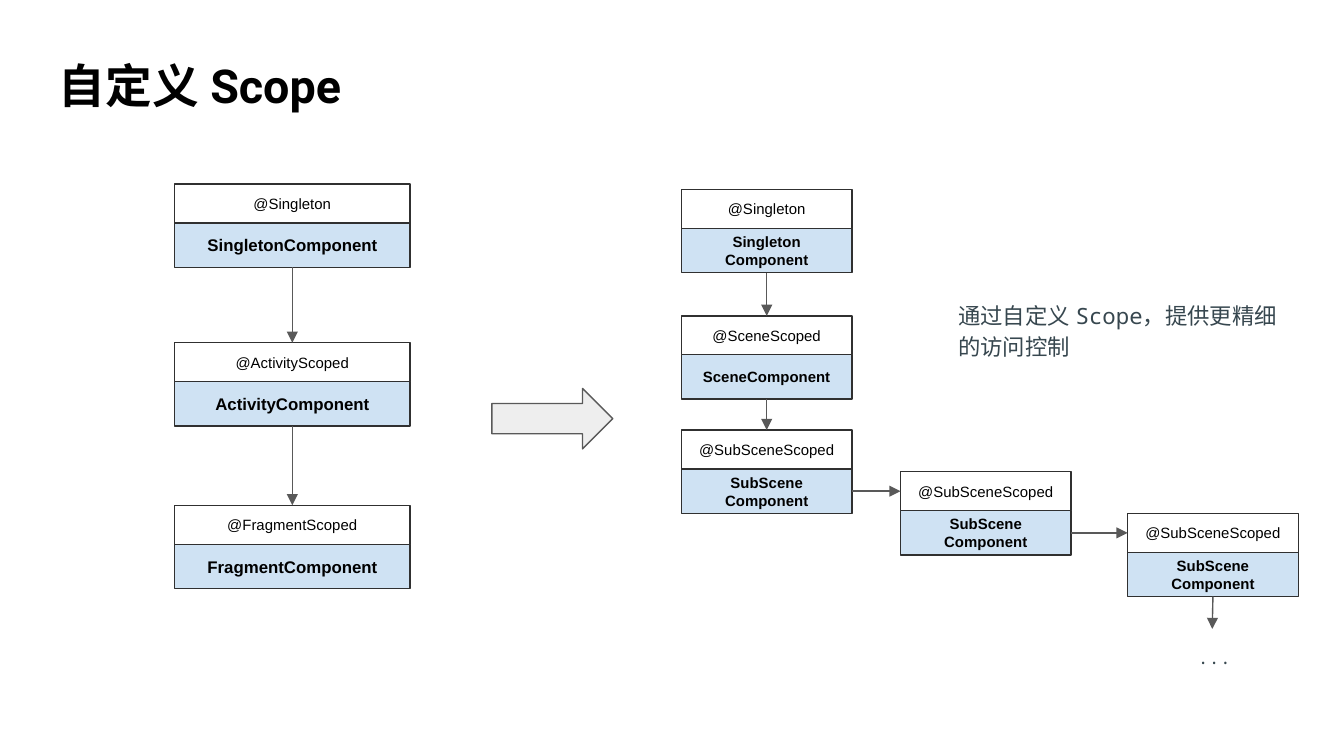
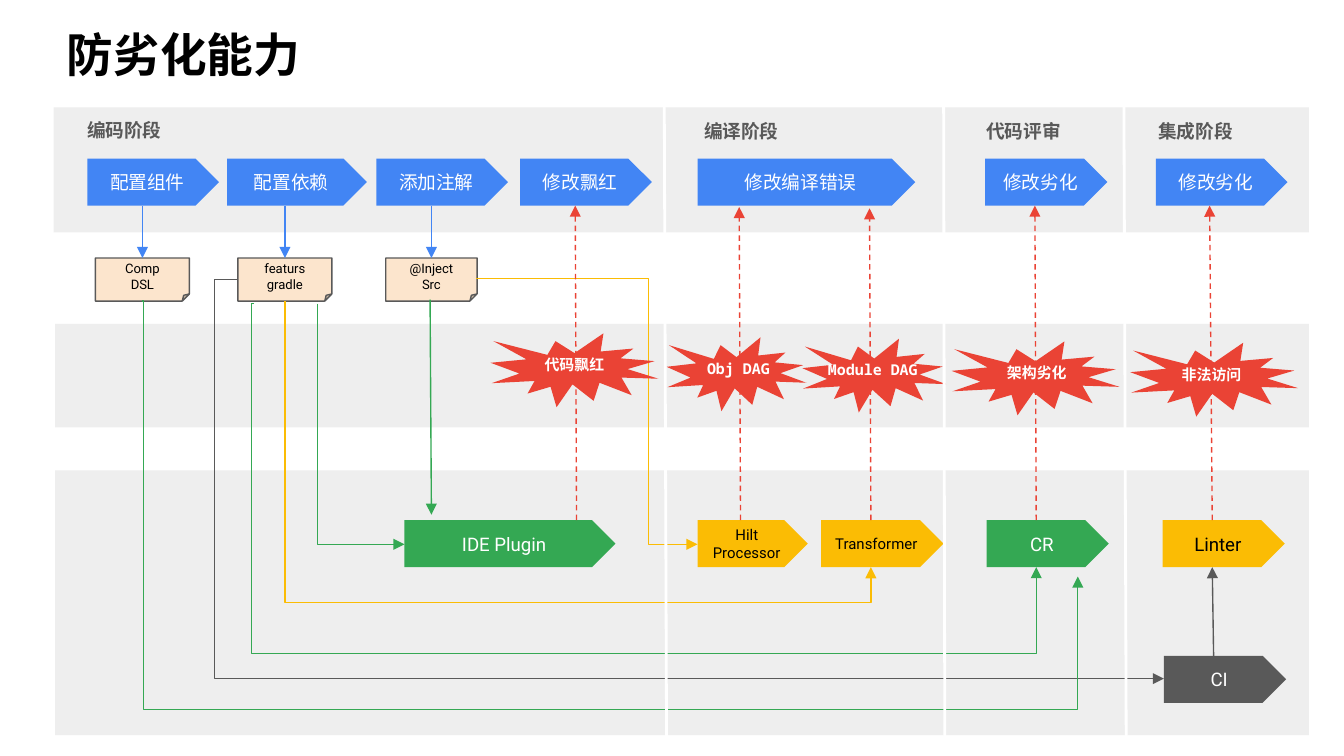
"""Build two slides: custom scopes and guards against code degradation."""
import pptx
import pptx.util
import pptx.dml.color
import pptx.enum.dml
import pptx.enum.shapes
import pptx.enum.text
import pptx.oxml.ns
from lxml import etree

RGBColor = pptx.dml.color.RGBColor
SHAPE = pptx.enum.shapes.MSO_SHAPE
CONNECTOR = pptx.enum.shapes.MSO_CONNECTOR
ANCHOR = pptx.enum.text.MSO_ANCHOR
ALIGN = pptx.enum.text.PP_ALIGN
qn = pptx.oxml.ns.qn

BLACK = RGBColor(0x00, 0x00, 0x00)
WHITE = RGBColor(0xFF, 0xFF, 0xFF)
INK = RGBColor(0x30, 0x30, 0x30)
SLATE = RGBColor(0x37, 0x47, 0x4F)
GRAY = RGBColor(0x59, 0x59, 0x59)
PANEL = RGBColor(0xEE, 0xEE, 0xEE)
SKY = RGBColor(0xCF, 0xE2, 0xF3)
PEACH = RGBColor(0xFC, 0xE5, 0xCD)
BLUE = RGBColor(0x42, 0x85, 0xF4)
GREEN = RGBColor(0x34, 0xA8, 0x53)
YELLOW = RGBColor(0xFB, 0xBC, 0x04)
RED = RGBColor(0xEA, 0x43, 0x35)

PX = 9144
SANS = "Roboto"
MONO = "Noto Sans Mono"
TITLE = dict(size=25, bold=True, align=ALIGN.LEFT, anchor=ANCHOR.BOTTOM)


def box(s, kind, rect, fill=None, line=None, text="", size=10, color=BLACK, font=SANS,
        bold=False, align=ALIGN.CENTER, anchor=ANCHOR.MIDDLE, spacing=None):
    rect = [v * PX for v in rect]
    if kind is None:
        sp = s.shapes.add_textbox(*rect)
    else:
        sp = s.shapes.add_shape(kind, *rect)
        sp.shadow.inherit = False
        sp.fill.solid()
        sp.fill.fore_color.rgb = fill
        if line is None:
            sp.line.fill.background()
        else:
            sp.line.color.rgb = line
            sp.line.width = pptx.util.Pt(0.75)
    if not text:
        return sp
    tf = sp.text_frame
    tf.word_wrap = True
    tf.vertical_anchor = anchor
    tf.margin_left = tf.margin_right = tf.margin_top = tf.margin_bottom = 10 * PX
    for i, words in enumerate(text.split("\n")):
        p = tf.add_paragraph() if i else tf.paragraphs[0]
        p.alignment = align
        if spacing:
            p.line_spacing = spacing
        r = p.add_run()
        r.text = words
        r.font.size = pptx.util.Pt(size)
        r.font.bold = bold
        r.font.color.rgb = color
        r.font.name = font
        etree.SubElement(r.font._element, qn("a:ea"), typeface=SANS)
    return sp


def link(s, x1, y1, x2, y2, color=GRAY, preset=None, adjust=(), turned=False,
         dashed=False, arrow=True, width=0.75):
    if turned:
        cx, cy, dx, dy = (x1 + x2) / 2, (y1 + y2) / 2, x2 - x1, y2 - y1
        x1, y1, x2, y2 = cx + dy / 2, cy - dx / 2, cx - dy / 2, cy + dx / 2
    kind = CONNECTOR.ELBOW if preset else CONNECTOR.STRAIGHT
    c = s.shapes.add_connector(kind, *[int(v * PX) for v in (x1, y1, x2, y2)])
    c.line.color.rgb = color
    c.line.width = pptx.util.Pt(width)
    if dashed:
        c.line.dash_style = pptx.enum.dml.MSO_LINE.DASH
    spPr = c._element.spPr
    if turned:
        spPr.find(qn("a:xfrm")).set("rot", "16200000")
    if preset:
        geom = spPr.find(qn("a:prstGeom"))
        geom.set("prst", preset)
        for i, share in enumerate(adjust, 1):
            etree.SubElement(geom.find(qn("a:avLst")), qn("a:gd"), name=f"adj{i}",
                             fmla=f"val {round(share * 100000)}")
    if arrow:
        etree.SubElement(spPr.find(qn("a:ln")), qn("a:tailEnd"), type="triangle")
    etree.SubElement(spPr, qn("a:effectLst"))
    return c


prs = pptx.Presentation()
prs.slide_width = 1000 * PX
prs.slide_height = 1125 * PX // 2
blank = prs.slide_layouts[6]

s = prs.slides.add_slide(blank)
box(s, None, (34, 11, 841, 83), text="自定义 Scope", **TITLE)
box(s, None, (703, 212, 258, 104), text="通过自定义 Scope，提供更精细的访问控制", size=12, color=SLATE,
    font=MONO, align=ALIGN.LEFT, anchor=ANCHOR.TOP, spacing=1.15)

SUB = ("@SubSceneScoped", "SubScene\nComponent")
standard = [
    (130, 137, "@Singleton", "SingletonComponent"),
    (130, 255, "@ActivityScoped", "ActivityComponent"),
    (130, 376, "@FragmentScoped", "FragmentComponent"),
]
custom = [
    (507, 141, "@Singleton", "Singleton\nComponent"),
    (507, 235, "@SceneScoped", "SceneComponent"),
    (507, 320, *SUB),
    (670, 351, *SUB),
    (839, 382, *SUB),
]
for chain, width, size in ((standard, 175, 9), (custom, 127, 8)):
    previous = None
    for x, y, scope, component in chain:
        lower = box(s, SHAPE.RECTANGLE, (x, y + 29, width, 33), SKY, INK, component,
                    size, font="Arial", bold=True)
        upper = box(s, SHAPE.RECTANGLE, (x, y, width, 29), WHITE, INK, scope, 8, font="Arial")
        if previous:
            below = previous.left == upper.left
            c = link(s, x, y, x, y)
            c.begin_connect(previous, 2 if below else 3)
            c.end_connect(upper, 0 if below else 1)
        previous = lower

c = link(s, 902, 444, 902, 468)
c.begin_connect(previous, 2)
box(s, None, (863, 462, 81, 37), text="...", color=SLATE, font=MONO,
    anchor=ANCHOR.TOP, spacing=1.5)
box(s, SHAPE.RIGHT_ARROW, (366, 289, 90, 45), PANEL, GRAY)

s = prs.slides.add_slide(blank)
for x, y, w, h in ((41, 241, 933, 77), (41, 350, 933, 197), (40, 80, 934, 93)):
    box(s, SHAPE.RECTANGLE, (x, y, w, h), PANEL)
box(s, None, (40, -12, 350, 83), text="防劣化能力", **TITLE)

for x, y, stage in ((39, 80, "编码阶段"), (498, 81, "编译阶段"),
                    (708, 81, "代码评审"), (836, 81, "集成阶段")):
    box(s, None, (x, y, 107, 37), text=stage, color=GRAY, font=MONO, bold=True,
        anchor=ANCHOR.TOP)

for x, w, step in ((65, 98, "配置组件"), (169, 104, "配置依赖"), (280, 98, "添加注解"),
                   (387, 98, "修改飘红"), (519, 162, "修改编译错误"),
                   (733, 91, "修改劣化"), (860, 98, "修改劣化")):
    box(s, SHAPE.PENTAGON, (x, 118, w, 35), BLUE, text=step, color=WHITE)

for x, w, note in ((71, 70, "Comp\nDSL"), (177, 70, "featurs\ngradle"),
                   (287, 68, "@Inject\nSrc")):
    sp = box(s, SHAPE.FOLDED_CORNER, (x, 192, w, 32), PEACH, GRAY, note, 7)
    c = link(s, x + w // 2, 153, x + w // 2, 192, BLUE)
    c.end_connect(sp, 0)

link(s, 320, 223, 321, 383, GREEN)
link(s, 177, 208, 866, 505, GRAY, "bentConnector3", (-0.025,))
link(s, 106, 224, 802, 429, GREEN, "bentConnector4", (0.001, 1.483))
link(s, 189, 226, 771, 422, GREEN, "bentConnector4", (-0.003, 1.329))
link(s, 236, 226, 301, 405, GREEN, "bentConnector2", turned=True)
link(s, 354, 207, 519, 405, YELLOW, "bentConnector3", (0.779,))
link(s, 212, 224, 648, 422, YELLOW, "bentConnector3", (1.132,), turned=True)
link(s, 903, 488, 902, 422)

for x, y, w, fill, color, size, tool in (
        (301, 387, 157, GREEN, WHITE, 10, "IDE Plugin"),
        (519, 387, 82, YELLOW, BLACK, 8, "Hilt Processor"),
        (611, 387, 91, YELLOW, BLACK, 8, "Transformer"),
        (734, 387, 91, GREEN, WHITE, 10, "CR"),
        (865, 387, 91, YELLOW, BLACK, 10, "Linter"),
        (866, 488, 91, GRAY, WHITE, 10, "CI")):
    box(s, SHAPE.PENTAGON, (x, y, w, 35), fill, text=tool, size=size, color=color)

for foot, head, tip, x, y, w, label_x, problem in (
        (429, 428, 153, 365, 248, 125, 382, "代码飘红"),
        (551, 550, 154, 496, 251, 104, 504, "Obj DAG"),
        (648, 647, 155, 597, 252, 107, 604, "Module DAG"),
        (771, 770, 153, 708, 254, 125, 726, "架构劣化"),
        (902, 900, 153, 841, 255, 125, 856, "非法访问")):
    link(s, foot, 387, head, tip, RED, dashed=True)
    box(s, SHAPE.EXPLOSION1, (x, y, w, 55), RED)
    box(s, None, (label_x, y + 10, 91, 34), text=problem, size=8, color=WHITE, font=MONO,
        bold=True, anchor=ANCHOR.TOP)

for foot, head in ((496, 494), (703, 702), (838, 836)):
    link(s, foot, 562, head, 0, WHITE, arrow=False, width=1.5)

prs.save("out.pptx")
